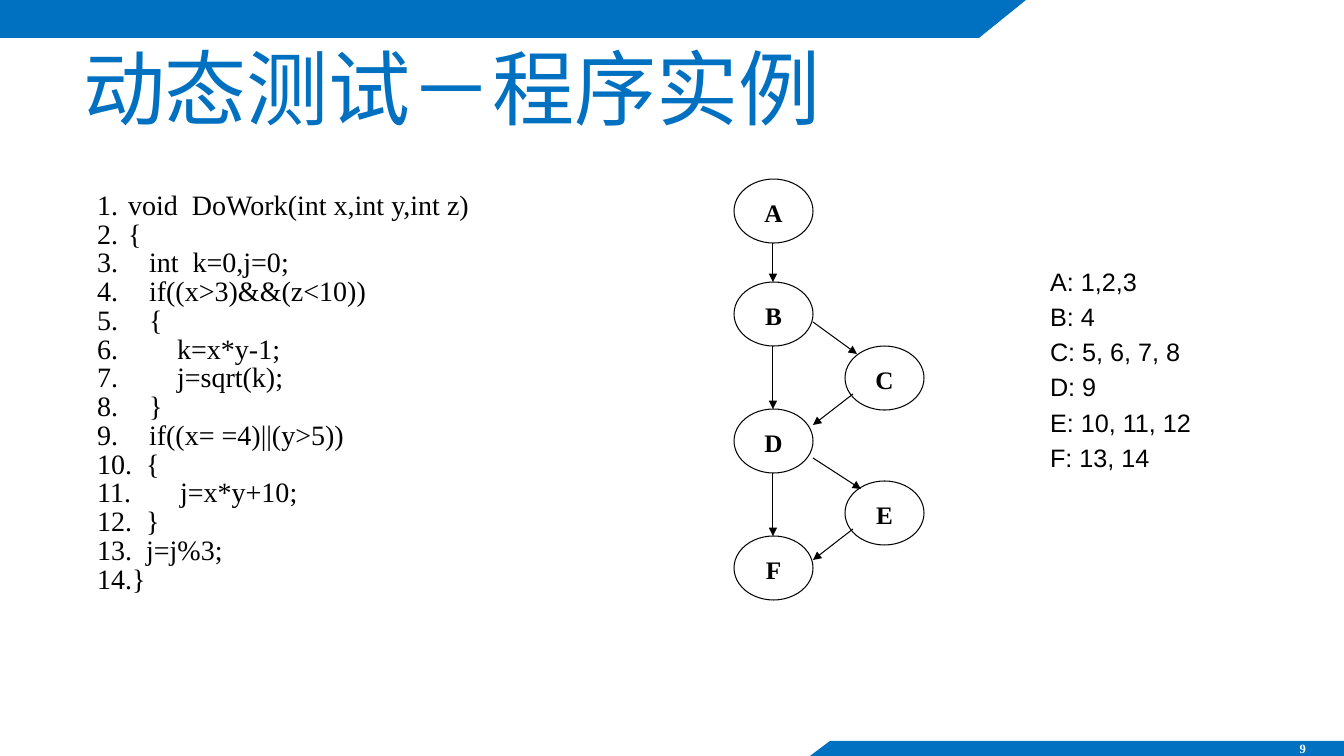
from pptx import Presentation
from pptx.dml.color import RGBColor
from pptx.enum.shapes import MSO_CONNECTOR as CONNECTOR, MSO_SHAPE as SHAPE
from pptx.enum.text import MSO_ANCHOR as ANCHOR, MSO_AUTO_SIZE as AUTO_SIZE, PP_ALIGN as ALIGN
from pptx.oxml.ns import qn
from pptx.util import Pt
from lxml.etree import SubElement

PIXEL = 914400 / 100.8
BLUE = RGBColor(0x00, 0x70, 0xC0)
BLACK = RGBColor(0, 0, 0)
WHITE = RGBColor(0xFF, 0xFF, 0xFF)
SERIF = "Times New Roman"
INSETS = (13, 7, 13, 7)

# Code lines with the distance in pixels from number to text
CODE = [
    (31, "void  DoWork(int x,int y,int z)"), (31, "{"),
    (52, "int  k=0,j=0;"), (52, "if((x>3)&&(z<10))"), (52, "{"),
    (80, "k=x*y-1;"), (80, "j=sqrt(k);"), (52, "}"),
    (52, "if((x= =4)||(y>5))"), (49, "{"), (83, "j=x*y+10;"),
    (49, "}"), (49, "j=j%3;"), (31, "}"),
]
LEGEND = ["A: 1,2,3", "B: 4", "C: 5, 6, 7, 8", "D: 9", "E: 10, 11, 12", "F: 13, 14"]

# Node corners inside the flow graph, and arrows as offsets from those corners
NODE_SIZE = (79, 64)
NODES = {"A": (0, 0), "B": (0, 103), "C": (111, 167),
         "D": (0, 230), "E": (111, 302), "F": (0, 357)}
TOP, BOTTOM = (39, 0), (39, 64)
ARROWS = [
    ("A", BOTTOM, "B", TOP), ("B", BOTTOM, "D", TOP), ("D", BOTTOM, "F", TOP),
    ("B", (79, 40), "C", (12, 8)), ("D", (79, 49), "E", (16, 8)),
    ("C", (8, 48), "D", (79, 16)), ("E", (8, 48), "F", (79, 24)),
]


def emu(pixels):
    return round(pixels * PIXEL)


def set_all(target, values):
    for name, value in values.items():
        setattr(target, name, value)


def place(shape, box):
    set_all(shape, dict(zip(("left", "top", "width", "height"), map(emu, box))))


def format_frame(frame, anchor=ANCHOR.TOP, insets=INSETS):
    names = ("margin_left", "margin_top", "margin_right", "margin_bottom")
    set_all(frame, {"word_wrap": True, "auto_size": AUTO_SIZE.NONE,
                    "vertical_anchor": anchor, **dict(zip(names, map(emu, insets)))})


def write(paragraph, text, size, font, color=BLACK, bold=False, **layout):
    run = paragraph.add_run()
    run.text = text
    set_all(run.font, {"size": Pt(size), "name": font, "bold": bold})
    run.font.color.rgb = color
    set_all(paragraph, layout)
    return run


def paragraphs(frame, count):
    return [frame.paragraphs[0]] + [frame.add_paragraph() for _ in range(count - 1)]


def add_band(slide, box, corners):
    left, top, _, _ = box
    points = [(emu(left + x), emu(top + y)) for x, y in corners]
    builder = slide.shapes.build_freeform(*points[0])
    builder.add_line_segments(points[1:])
    band = builder.convert_to_shape()
    band.shadow.inherit = False
    band.fill.solid()
    band.fill.fore_color.rgb = BLUE
    band.line.fill.background()


def add_bands(slide, box):
    left, top, width, height = box
    add_band(slide, (left, top, width, 38), [(0, 0), (1026, 0), (979, 38), (0, 38)])
    add_band(slide, (left + 810, top + height - 15, width - 810, 15),
             [(20, 0), (534, 0), (534, 15), (0, 15)])


# The number is sized to fit inside the footer band
def add_page_number(slide, box):
    frame = slide.shapes.add_textbox(*map(emu, box)).text_frame
    format_frame(frame, ANCHOR.MIDDLE, (13, 0, 13, 0))
    write(frame.paragraphs[0], "9", 9, SERIF, WHITE, True, alignment=ALIGN.RIGHT)


def fill_title(title, box):
    place(title, box)
    format_frame(title.text_frame, ANCHOR.MIDDLE)
    run = write(title.text_frame.paragraphs[0], "动态测试－程序实例", 58.6,
                "Montserrat", BLUE, alignment=ALIGN.LEFT)
    SubElement(run.font._element, qn("a:ea"), typeface="Noto Sans CJK SC")


def fill_code(body, box):
    place(body, box)
    frame = body.text_frame
    format_frame(frame)
    for paragraph, (indent, text) in zip(paragraphs(frame, len(CODE)), CODE):
        write(paragraph, text, 20, SERIF, line_spacing=0.8, space_before=Pt(1.3))
        properties = paragraph._p.get_or_add_pPr()
        properties.set("marL", str(emu(indent)))
        properties.set("indent", str(-emu(indent)))
        SubElement(properties, qn("a:buFont"), typeface=SERIF)
        SubElement(properties, qn("a:buAutoNum"), type="arabicPeriod")


def add_legend(slide, box):
    frame = slide.shapes.add_textbox(*map(emu, box)).text_frame
    format_frame(frame)
    for paragraph, text in zip(paragraphs(frame, len(LEGEND)), LEGEND):
        write(paragraph, text, 18, "Arial", space_before=Pt(3.6))


def outline(line):
    line.color.rgb = BLACK
    line.width = Pt(0.75)


def add_node(slide, label, box):
    node = slide.shapes.add_shape(SHAPE.FLOWCHART_CONNECTOR, *map(emu, box))
    node.shadow.inherit = False
    node.fill.solid()
    node.fill.fore_color.rgb = WHITE
    outline(node.line)
    format_frame(node.text_frame, insets=(10, 9, 10, 5))
    write(node.text_frame.paragraphs[0], label, 18, SERIF, bold=True,
          alignment=ALIGN.CENTER)


def add_arrow(slide, start, end):
    arrow = slide.shapes.add_connector(CONNECTOR.STRAIGHT, *map(emu, start + end))
    outline(arrow.line)
    SubElement(arrow.line._get_or_add_ln(), qn("a:tailEnd"), type="triangle")
    SubElement(arrow._element.spPr, qn("a:effectLst"))


def add_flow_graph(slide, box):
    left, top, _, _ = box

    def point(label, offset):
        x, y = NODES[label]
        return left + x + offset[0], top + y + offset[1]

    for label in NODES:
        add_node(slide, label, point(label, (0, 0)) + NODE_SIZE)
    for source, leave, target, enter in ARROWS:
        add_arrow(slide, point(source, leave), point(target, enter))


presentation = Presentation()
presentation.slide_width, presentation.slide_height = emu(1344), emu(756)
slide = presentation.slides.add_slide(presentation.slide_layouts[1])
title, body = slide.placeholders

add_bands(slide, (0, 0, 1344, 756))
add_page_number(slide, (1180, 741, 139, 15))
fill_title(title, (70, 39, 1209, 95))
fill_code(body, (84, 187, 889, 484))
add_flow_graph(slide, (734, 179, 190, 421))
add_legend(slide, (1037, 259, 174, 254))
presentation.save("out.pptx")
